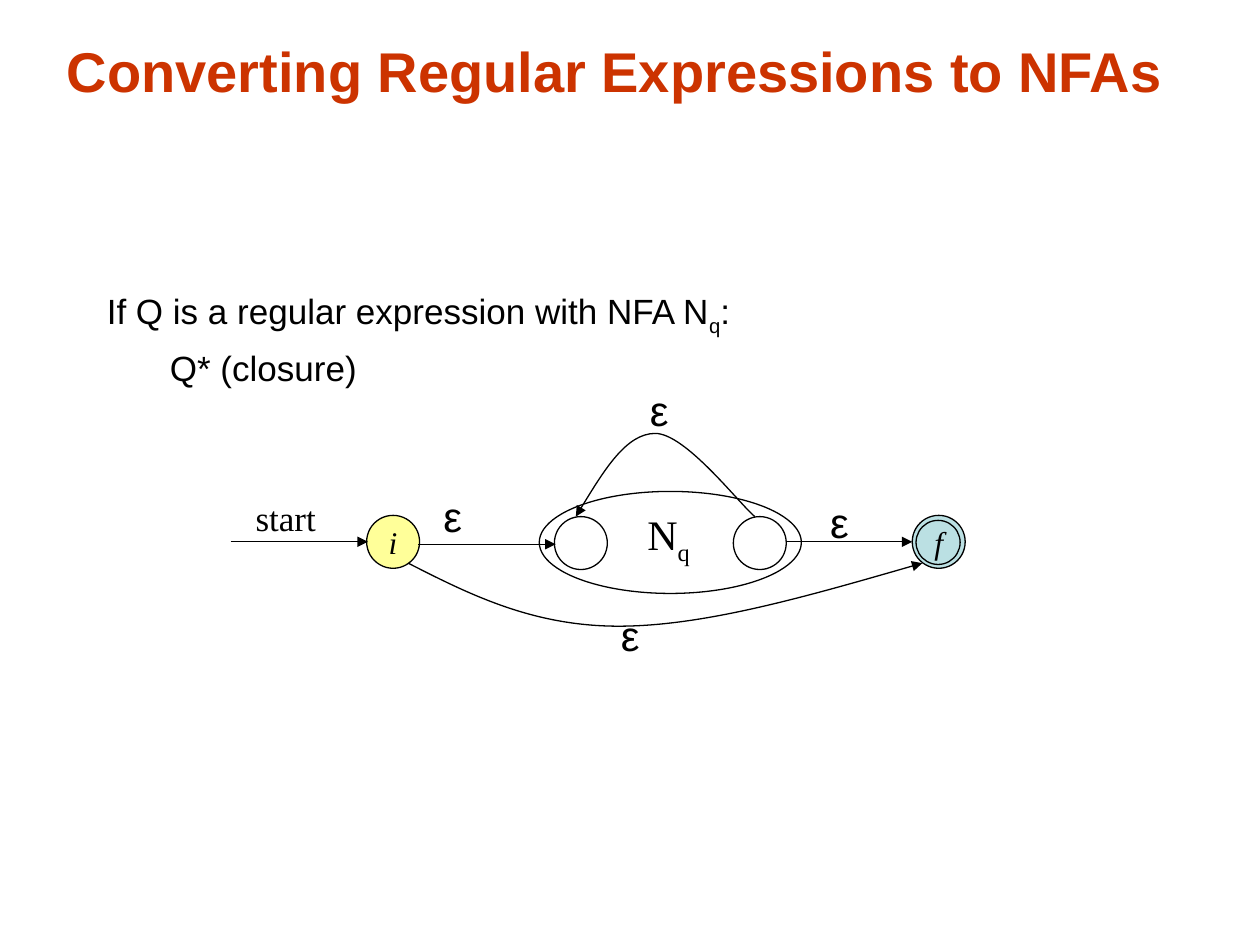
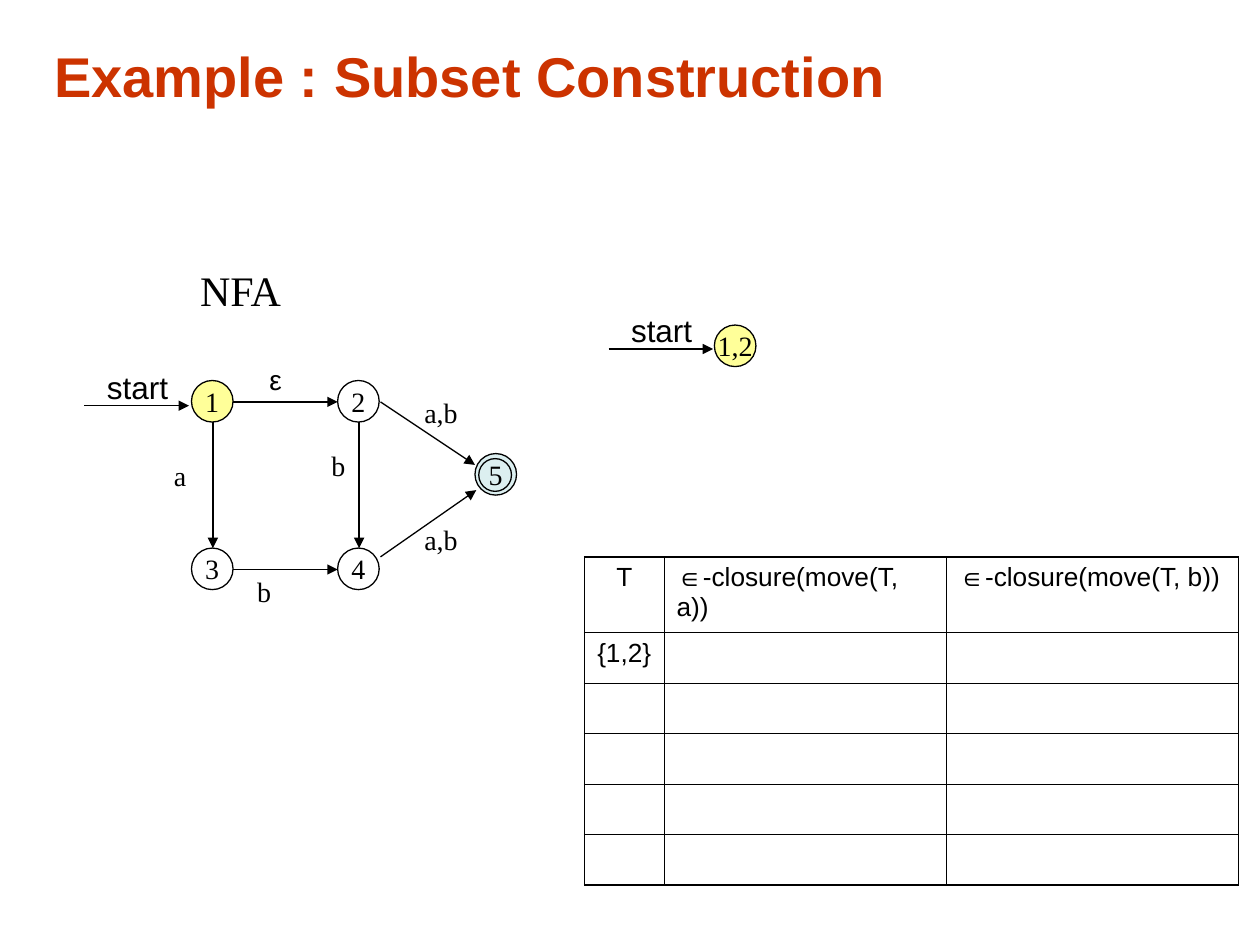
from lxml.etree import SubElement
from pptx import Presentation
from pptx.dml.color import RGBColor
from pptx.enum.shapes import MSO_CONNECTOR, MSO_SHAPE
from pptx.enum.text import MSO_ANCHOR as Anchor, MSO_AUTO_SIZE as AutoSize, PP_ALIGN as Align
from pptx.oxml.ns import qn
from pptx.util import Pt

PX = 9144
COLORS = {
    "title": "CC3300",
    "ink": "000000",
    "start": "FFFF99",
    "final": "BBE0E3",
    "state": "FFFFFF",
}
SANS, SERIF = "Arial", "Times New Roman"
LINE = 0.75


def color(name):
    return RGBColor.from_string(COLORS[name])


class Deck:
    def __init__(self):
        self.presentation = Presentation()
        self.presentation.slide_width = 1000 * PX
        self.presentation.slide_height = 750 * PX
        self.slide = None

    @property
    def shapes(self):
        return self.slide.shapes

    def style(self, paragraph, size, font=SANS, ink="ink", bold=False, italic=False):
        paragraph.font.size = Pt(size)
        paragraph.font.name = font
        paragraph.font.bold = bold
        paragraph.font.italic = italic
        paragraph.font.color.rgb = color(ink)

    def outline(self, shape, arrow=False):
        shape.line.width = Pt(LINE)
        shape.line.color.rgb = color("ink")
        if arrow:
            line = shape._element.spPr.get_or_add_ln()
            SubElement(line, qn("a:tailEnd"), type="triangle")

    def add_slide(self, title, left, top, width, height):
        self.slide = self.presentation.slides.add_slide(self.presentation.slide_layouts[5])
        shape = self.shapes.title
        shape.left, shape.top, shape.width, shape.height = (
            value * PX for value in (left, top, width, height))
        frame = shape.text_frame
        frame.text = title
        frame.auto_size = AutoSize.NONE
        frame.vertical_anchor = Anchor.MIDDLE
        frame.paragraphs[0].alignment = Align.LEFT
        self.style(frame.paragraphs[0], 32, ink="title", bold=True)

    def fill_paragraph(self, paragraph, text, size, font):
        self.style(paragraph, size, font)
        for index, part in enumerate(text.split("_")):
            run = paragraph.add_run()
            run.text = part
            if index == 1:
                run._r.get_or_add_rPr().set("baseline", "-25000")

    def label(self, text, left, top, width, height, size, font=SANS, align=Align.LEFT):
        box = self.shapes.add_textbox(left * PX, top * PX, width * PX, height * PX)
        frame = box.text_frame
        frame.word_wrap = False
        frame.auto_size = AutoSize.SHAPE_TO_FIT_TEXT
        paragraph = frame.paragraphs[0]
        paragraph.alignment = align
        self.fill_paragraph(paragraph, text, size, font)

    def body(self, lines, left, top, width, height):
        box = self.shapes.add_textbox(left * PX, top * PX, width * PX, height * PX)
        frame = box.text_frame
        frame.word_wrap = True
        for index, (text, indent) in enumerate(lines):
            paragraph = frame.add_paragraph() if index else frame.paragraphs[0]
            if index:
                paragraph.space_before = Pt(5)
            paragraph._p.get_or_add_pPr().set("marL", str(indent * PX))
            self.fill_paragraph(paragraph, text, 20, SANS)

    def ellipse(self, left, top, width, height, fill=None, alpha=None):
        shape = self.shapes.add_shape(
            MSO_SHAPE.OVAL, left * PX, top * PX, width * PX, height * PX)
        shape.shadow.inherit = False
        if fill:
            shape.fill.solid()
            shape.fill.fore_color.rgb = color(fill)
        else:
            shape.fill.background()
        if alpha:
            tint = shape._element.spPr.find(qn("a:solidFill")).find(qn("a:srgbClr"))
            SubElement(tint, qn("a:alpha"), val=str(alpha * 1000))
        self.outline(shape)
        return shape

    def node(self, text, left, top, diameter, fill, size, italic=False, alpha=None):
        shape = self.ellipse(left, top, diameter, diameter, fill, alpha)
        frame = shape.text_frame
        frame.word_wrap = False
        frame.vertical_anchor = Anchor.MIDDLE
        paragraph = frame.paragraphs[0]
        paragraph.alignment = Align.CENTER
        paragraph.add_run().text = text
        self.style(paragraph, size, SERIF, italic=italic)
        if fill == "final":
            inner = diameter - 7
            self.ellipse(left + 3, top + 4, inner, inner)

    def arrow(self, x1, y1, x2, y2):
        connector = self.shapes.add_connector(
            MSO_CONNECTOR.STRAIGHT, x1 * PX, y1 * PX, x2 * PX, y2 * PX)
        self.outline(connector, arrow=True)
        SubElement(connector._element.spPr, qn("a:effectLst"))

    def curve(self, start, *controls):
        builder = self.shapes.build_freeform(*start, scale=PX)
        builder.add_line_segments(controls, close=False)
        shape = builder.convert_to_shape()
        shape.shadow.inherit = False
        shape.fill.background()
        self.outline(shape, arrow=True)
        path = next(shape._element.spPr.iter(qn("a:path")))
        segments = path.findall(qn("a:lnTo"))
        for index in range(0, len(segments), 3):
            bezier = SubElement(path, qn("a:cubicBezTo"))
            for segment in segments[index:index + 3]:
                bezier.append(segment[0])
                path.remove(segment)

    def border(self, cell, edges):
        properties = cell._tc.get_or_add_tcPr()
        for position, (tag, width) in enumerate(edges):
            line = SubElement(properties, qn(f"a:{tag}"), w=str(Pt(width)))
            fill = SubElement(line, qn("a:solidFill"))
            SubElement(fill, qn("a:srgbClr"), val=COLORS["ink"])
            properties.remove(line)
            properties.insert(position, line)

    def table(self, rows, left, top, widths, heights):
        table = self.shapes.add_table(
            len(heights), len(widths), left * PX, top * PX,
            sum(widths) * PX, sum(heights) * PX).table
        table.first_row = table.horz_banding = False
        for column, width in zip(table.columns, widths):
            column.width = width * PX
        for row, height in zip(table.rows, heights):
            row.height = height * PX
        thin, thick = 0.45, 1.08
        last_row, last_column = len(heights) - 1, len(widths) - 1
        for r in range(len(heights)):
            for c in range(len(widths)):
                cell = table.cell(r, c)
                cell.fill.background()
                self.border(cell, [
                    ("lnL", thin if c else thick),
                    ("lnR", thick if c == last_column else thin),
                    ("lnT", thin if r else thick),
                    ("lnB", thick if r == last_row else thin)])
                if r < len(rows) and c < len(rows[r]):
                    paragraph = cell.text_frame.paragraphs[0]
                    paragraph.alignment = Align.LEFT if r or c else Align.CENTER
                    self.fill_paragraph(paragraph, rows[r][c], 15, SANS)


def closure_slide(deck):
    deck.add_slide("Converting Regular Expressions to NFAs", 43, 25, 894, 61)
    deck.body([("If Q is a regular expression with NFA N_q_:", 0), ("Q* (closure)", 50)],
              75, 225, 850, 450)
    diameter = 42
    deck.ellipse(428, 390, 208, 81)
    for left in (440, 582):
        deck.ellipse(left, 410, diameter, diameter)
    deck.node("i", 291, 409, diameter, "start", 18, italic=True)
    deck.node("f", 724, 409, diameter, "final", 18, italic=True)
    for x1, x2, y in ((183, 292, 430), (332, 441, 432), (624, 724, 430)):
        deck.arrow(x1, y, x2, y)
    deck.curve((599, 410), (586, 399), (544, 344), (520, 344),
               (497, 344), (477, 377), (457, 410))
    deck.curve((324, 447), (373, 472), (423, 497), (491, 497),
               (559, 497), (645, 472), (732, 447))
    for left, top in ((506, 300), (342, 384), (649, 389), (483, 479)):
        deck.label("ε", left, top, 34, 50, 24)
    deck.label("N_q", 504, 399, 54, 56, 24, SERIF)
    deck.label("start", 193, 389, 68, 44, 20, SERIF)


def subset_slide(deck):
    deck.add_slide("Example : Subset Construction", 33, 25, 940, 70)
    deck.label("NFA", 149, 205, 86, 50, 24, SERIF)
    diameter, radius = 33, 17
    left, right, top, bottom = 152, 268, 302, 435
    for text, x, y, fill in (("1", left, top, "start"), ("2", right, top, "state"),
                             ("3", left, bottom, "state"), ("4", right, bottom, "state"),
                             ("1,2", 567, 258, "start")):
        deck.node(text, x, y, diameter, fill, 16)
    deck.node("5", 377, 360, diameter, "final", 16, alpha=50)

    for y in (top, bottom):
        deck.arrow(left + diameter, y + radius, right, y + radius)
    for x in (left, right):
        deck.arrow(x + radius, top + diameter, x + radius, bottom)
    deck.arrow(302, 319, 377, 369)
    deck.arrow(302, 442, 378, 389)
    for x, y in ((67, 322), (483, 277)):
        deck.arrow(x, y, x + 83, y)
        deck.label("start", x + 8, y - 35, 72, 40, 18)

    for text, x, y, width, font in (("ε", 204, 283, 29, SANS), ("b", 194, 451, 31, SERIF),
                                    ("a", 128, 359, 30, SERIF), ("b", 253, 351, 31, SERIF),
                                    ("a,b", 325, 309, 50, SERIF),
                                    ("a,b", 325, 410, 50, SERIF)):
        deck.label(text, x, y, width, 37, 16, font, Align.CENTER)

    deck.table([("T", "∈-closure(move(T, a))", "∈-closure(move(T, b))"), ("{1,2}",)],
               464, 442, (63, 224, 232), [60] + [40] * 5)


def main():
    deck = Deck()
    closure_slide(deck)
    subset_slide(deck)
    deck.presentation.save("out.pptx")


if __name__ == "__main__":
    main()
